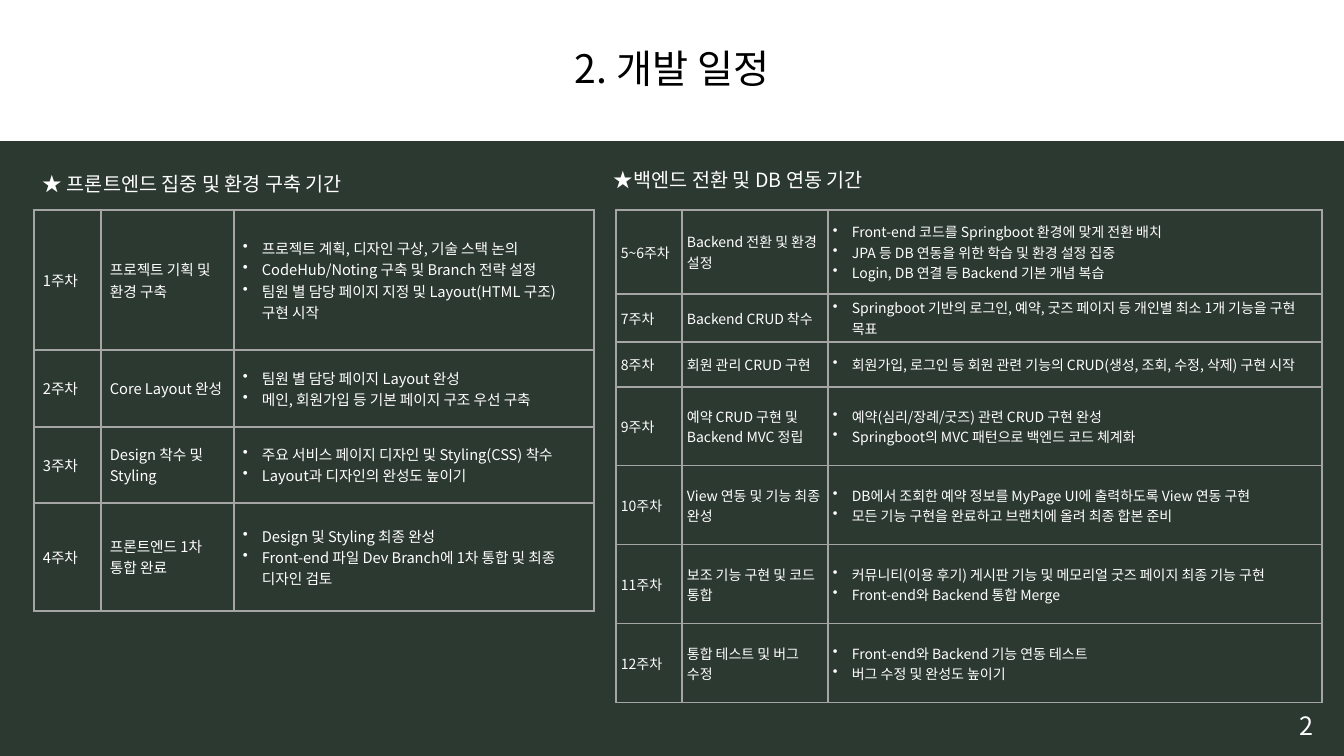
"""Build the development schedule slide with front-end and back-end timetables."""
from lxml.etree import SubElement
from pptx import Presentation
from pptx.dml.color import RGBColor
from pptx.enum.text import MSO_ANCHOR, PP_ALIGN
from pptx.oxml import parse_xml
from pptx.oxml.ns import nsdecls, qn
from pptx.util import Pt

PX = 914400 / 100.8
FONT = "Noto Sans CJK KR"
GREEN = RGBColor(0x2C, 0x39, 0x30)
WHITE = RGBColor(0xFF, 0xFF, 0xFF)
BLACK = RGBColor(0x00, 0x00, 0x00)
GREY = RGBColor(0xA5, 0xA5, 0xA5)

FRONTEND_WEEKS = [
    ("1주차", "프로젝트 기획 및 환경 구축", [
        "프로젝트 계획, 디자인 구상, 기술 스택 논의",
        "CodeHub/Noting 구축 및 Branch 전략 설정",
        "팀원 별 담당 페이지 지정 및 Layout(HTML 구조) 구현 시작"]),
    ("2주차", "Core Layout 완성", [
        "팀원 별 담당 페이지 Layout 완성",
        "메인, 회원가입 등 기본 페이지 구조 우선 구축"]),
    ("3주차", "Design 착수 및 Styling", [
        "주요 서비스 페이지 디자인 및 Styling(CSS) 착수",
        "Layout과 디자인의 완성도 높이기"]),
    ("4주차", "프론트엔드 1차 통합 완료", [
        "Design 및 Styling 최종 완성",
        "Front-end 파일 Dev Branch에 1차 통합 및 최종 디자인 검토"]),
]
BACKEND_WEEKS = [
    ("5~6주차", "Backend 전환 및 환경 설정", [
        "Front-end 코드를 Springboot 환경에 맞게 전환 배치",
        "JPA 등 DB 연동을 위한 학습 및 환경 설정 집중",
        "Login, DB 연결 등 Backend 기본 개념 복습"]),
    ("7주차", "Backend CRUD 착수", [
        "Springboot 기반의 로그인, 예약, 굿즈 페이지 등 개인별 최소 1개 기능을 구현 목표"]),
    ("8주차", "회원 관리 CRUD 구현", [
        "회원가입, 로그인 등 회원 관련 기능의 CRUD(생성, 조회, 수정, 삭제) 구현 시작"]),
    ("9주차", "예약 CRUD 구현 및 Backend MVC 정립", [
        "예약(심리/장례/굿즈) 관련 CRUD 구현 완성",
        "Springboot의 MVC 패턴으로 백엔드 코드 체계화"]),
    ("10주차", "View 연동 및 기능 최종 완성", [
        "DB에서 조회한 예약 정보를 MyPage UI에 출력하도록 View 연동 구현",
        "모든 기능 구현을 완료하고 브랜치에 올려 최종 합본 준비"]),
    ("11주차", "보조 기능 구현 및 코드 통합", [
        "커뮤니티(이용 후기) 게시판 기능 및 메모리얼 굿즈 페이지 최종 기능 구현",
        "Front-end와 Backend 통합 Merge"]),
    ("12주차", "통합 테스트 및 버그 수정", [
        "Front-end와 Backend 기능 연동 테스트",
        "버그 수정 및 완성도 높이기"]),
]
TIMETABLES = [
    (FRONTEND_WEEKS, 34, [67, 133, 360], [140, 77, 76, 108], 10.5, 9, 4),
    (BACKEND_WEEKS, 616, [66, 146, 494], [84, 48, 45] + [79] * 4, 10, 5, 2),
]
LABELS = [
    ("2", 1269, 705, 75, 40, 18, PP_ALIGN.CENTER),
    ("★ 프론트엔드 집중 및 환경 구축 기간", 33, 167, 355, 34, 14, PP_ALIGN.LEFT),
    ("★백엔드 전환 및 DB 연동 기간", 604, 163, 303, 34, 14, PP_ALIGN.LEFT),
]


def px(*lengths):
    return [round(length * PX) for length in lengths]


def write(frame, lines, size, color=WHITE, align=PP_ALIGN.LEFT):
    frame.text = "\n".join(lines)
    frame.word_wrap = True
    for para in frame.paragraphs:
        para.alignment = align
        font = para.font
        font.name, font.size, font.color.rgb = FONT, Pt(size), color
        latin = para._p.pPr.find(qn("a:defRPr")).find(qn("a:latin"))
        latin.addnext(parse_xml(f'<a:ea {nsdecls("a")} typeface="{FONT}"/>'))


deck = Presentation()
deck.slide_width, deck.slide_height = px(1344, 756)
page = deck.slides.add_slide(deck.slide_layouts[5])
page.background.fill.solid()
page.background.fill.fore_color.rgb = GREEN

title = page.shapes.title
title.left, title.top, title.width, title.height = px(0, 0, 1344, 141)
title.fill.solid()
title.fill.fore_color.rgb = WHITE
write(title.text_frame, ["2. 개발 일정"], 28, BLACK, PP_ALIGN.CENTER)
title.text_frame.vertical_anchor = MSO_ANCHOR.MIDDLE
title.text_frame.paragraphs[0].line_spacing = 0.9

for weeks, left, widths, heights, size, side, edge in TIMETABLES:
    frame = page.shapes.add_table(
        len(heights), len(widths), *px(left, 210, sum(widths), sum(heights)))
    table = frame.table
    table.first_row = table.horz_banding = False
    for column, width in zip(table.columns, px(*widths)):
        column.width = width
    for row, height, week in zip(table.rows, px(*heights), weeks):
        row.height = height
        period, goal, tasks = week
        for cell, lines in zip(row.cells, ([period], [goal], tasks)):
            write(cell.text_frame, lines, size)
            cell.vertical_anchor = MSO_ANCHOR.MIDDLE
            cell.margin_left, cell.margin_right = px(side, side)
            cell.margin_top, cell.margin_bottom = px(edge, edge)
            cell.fill.background()
            for index, name in enumerate(("lnL", "lnR", "lnT", "lnB")):
                border = parse_xml(
                    f'<a:{name} {nsdecls("a")} w="12700"><a:solidFill>'
                    f'<a:srgbClr val="{GREY}"/></a:solidFill></a:{name}>')
                cell._tc.tcPr.insert(index, border)
        for para in row.cells[2].text_frame.paragraphs:
            properties = para._p.pPr
            indent = px(19)[0]
            properties.set("marL", str(indent))
            properties.set("indent", str(-indent))
            bullet = SubElement(properties, qn("a:buChar"), char="•")
            properties.find(qn("a:defRPr")).addprevious(bullet)

for text, left, top, width, height, size, align in LABELS:
    box = page.shapes.add_textbox(*px(left, top, width, height))
    write(box.text_frame, [text], size, align=align)

deck.save("out.pptx")
